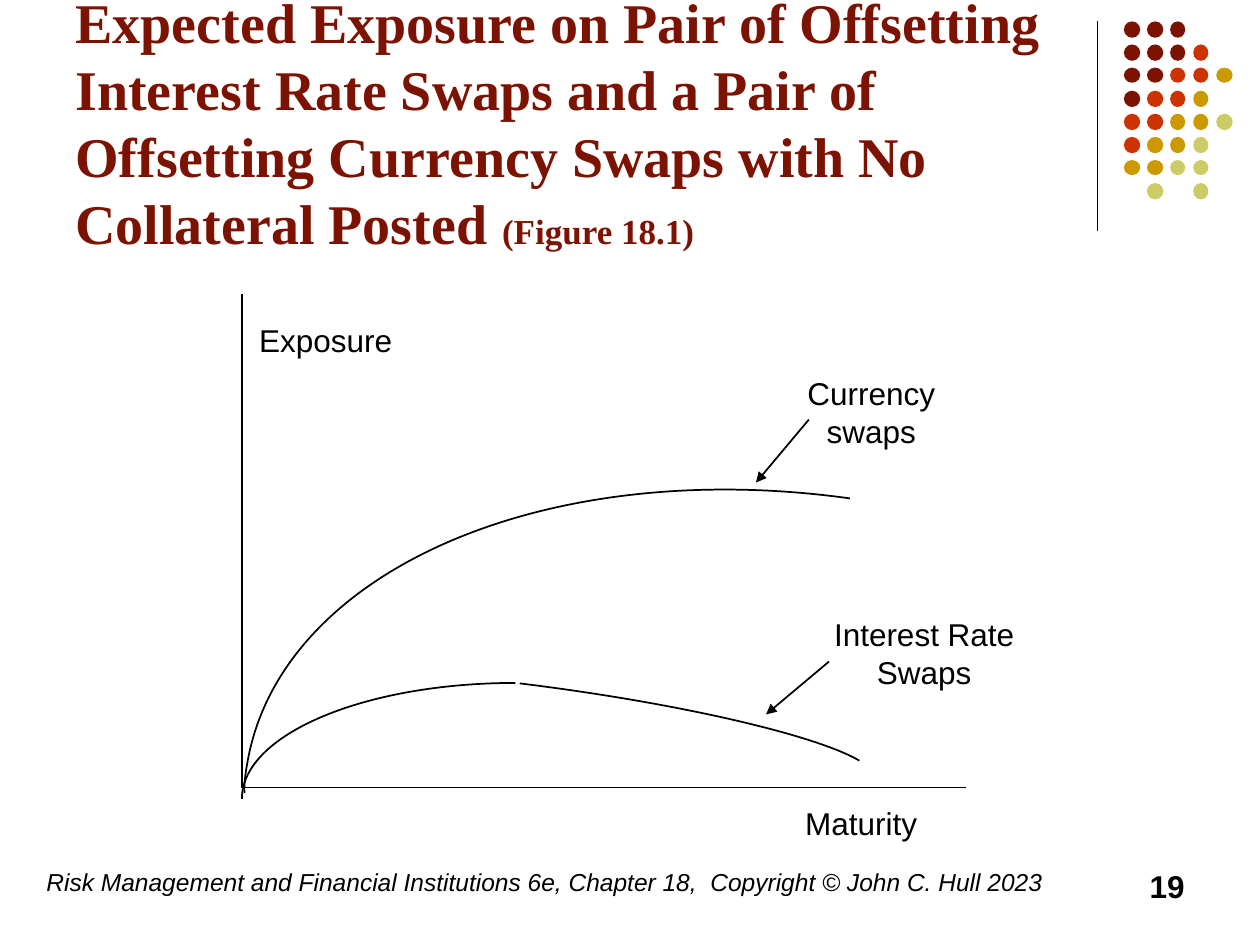
from lxml.etree import SubElement
from pptx import Presentation
from pptx.dml.color import RGBColor
from pptx.enum.shapes import MSO_CONNECTOR, MSO_SHAPE
from pptx.enum.text import MSO_ANCHOR, PP_ALIGN
from pptx.oxml.ns import qn
from pptx.util import Inches, Pt

COLORS = {"black": "000000", "maroon": "7C1302", "red": "CC3300",
          "gold": "CC9900", "lime": "CCCC66"}

deck = Presentation()
deck.slide_width, deck.slide_height = Inches(10), Inches(7.5)
slide = deck.slides.add_slide(deck.slide_layouts[6])


def add_line(start, end, width=1, arrow=False):
    line = slide.shapes.add_connector(
        MSO_CONNECTOR.STRAIGHT, *[Inches(v) for v in (*start, *end)])
    line.line.color.rgb = RGBColor.from_string(COLORS["black"])
    line.line.width = Pt(width)
    if arrow:
        SubElement(line.line._get_or_add_ln(), qn("a:tailEnd"), type="triangle")
    SubElement(line._element.spPr, qn("a:effectLst"))


def add_text(place, runs, align=PP_ALIGN.LEFT, anchor=MSO_ANCHOR.TOP,
             font="Arial", color="black", bold=False, italic=False):
    frame = slide.shapes.add_textbox(*[Inches(v) for v in place]).text_frame
    frame.word_wrap = True
    frame.vertical_anchor = anchor
    paragraph = frame.paragraphs[0]
    paragraph.alignment = align
    for wording, size in runs:
        run = paragraph.add_run()
        run.text = wording
        run.font.name = font
        run.font.size = Pt(size)
        run.font.bold = bold
        run.font.italic = italic
        run.font.color.rgb = RGBColor.from_string(COLORS[color])


add_line((8.71, 0.17), (8.71, 1.83), 0.75)

dot_colors = {"m": "maroon", "r": "red", "g": "gold", "l": "lime"}
dot_rows = ["mmm", "mmmr", "mmrrg", "mrrg", "rrggl", "rggl", "ggll", ".l.l"]
dot_pitch = 0.55 / 3
dots = slide.shapes.add_group_shape()
for row, codes in enumerate(dot_rows):
    for column, code in enumerate(codes):
        if code == ".":
            continue
        dot = dots.shapes.add_shape(
            MSO_SHAPE.OVAL, Inches(8.92 + column * dot_pitch),
            Inches(0.17 + row * dot_pitch),
            Inches(0.12 if column in (2, 3) else 0.13),
            Inches(0.12 if row in (2, 6) else 0.13))
        dot.shadow.inherit = False
        dot.fill.solid()
        dot.fill.fore_color.rgb = RGBColor.from_string(COLORS[dot_colors[code]])
        dot.line.fill.background()

add_text((0.5, 0.33, 8.25, 1.75), [
    ("Expected Exposure on Pair of Offsetting Interest Rate Swaps and a Pair of "
     "Offsetting Currency Swaps with No Collateral Posted ", 32),
    ("(Figure 18.1)", 20),
], anchor=MSO_ANCHOR.BOTTOM, font="Times New Roman", color="maroon", bold=True)

add_text((0.27, 6.83, 8.27, 0.5), [
    ("Risk Management and Financial Institutions 6e, Chapter 18,  "
     "Copyright © John C. Hull 2023", 14)], italic=True)
add_text((7.17, 6.83, 2.33, 0.5), [("19", 18)], align=PP_ALIGN.RIGHT, bold=True)

origin = (1.92, 6.25)
add_line((1.92, 2.33), origin)
add_line(origin, (7.67, 6.25))

interest_fall = ((4.09, 5.59, 2.75, 0.4), 7,
                 [(0, 0), (1.26, 0), (2.38, 0.12), (2.75, 0.28)])
interest_rise = ((1.92, 5.42, 2.17, 0.92), 0,
                 [(2.17, 0), (0.97, 0), (0, 0.41), (0, 0.92)])
currency = ((2.93, 2.81, 3.16, 4.69), 280.3,
            [(0, 0.02), (0.09, 0), (0.18, 0), (0.26, 0),
             (1.79, 0), (3.06, 1.89), (3.16, 4.33)])
for place, turn, controls in (interest_fall, interest_rise, currency):
    left, top, width, height = [Inches(v) for v in place]
    start, *rest = [(Inches(x), Inches(y)) for x, y in controls]
    builder = slide.shapes.build_freeform(*start)
    builder.add_line_segments(rest, close=False)
    exposure = builder.convert_to_shape(left, top)
    outline = exposure._element.spPr.find(".//" + qn("a:path"))
    outline.set("w", str(width))
    outline.set("h", str(height))
    segments = outline.findall(qn("a:lnTo"))
    for first in range(0, len(segments), 3):
        bezier = SubElement(outline, qn("a:cubicBezTo"))
        for segment in segments[first:first + 3]:
            bezier.append(segment[0])
            outline.remove(segment)
    exposure.left, exposure.top = left, top
    exposure.width, exposure.height = width, height
    exposure.rotation = turn
    exposure.shadow.inherit = False
    exposure.fill.background()
    exposure.line.color.rgb = RGBColor.from_string(COLORS["black"])
    exposure.line.width = Pt(1)

labels = [
    ("Exposure", (1.92, 2.5, 1.33, 0.4)),
    ("Maturity", (6, 6.33, 1.67, 0.4)),
    ("Currency swaps", (6.25, 2.92, 1.33, 0.7)),
    ("Interest Rate Swaps", (6.42, 4.83, 1.83, 0.7)),
]
for wording, place in labels:
    add_text(place, [(wording, 18)], align=PP_ALIGN.CENTER)

add_line((6.42, 3.33), (6, 3.83), arrow=True)
add_line((6.58, 5.25), (6.08, 5.67), arrow=True)

deck.save("out.pptx")
